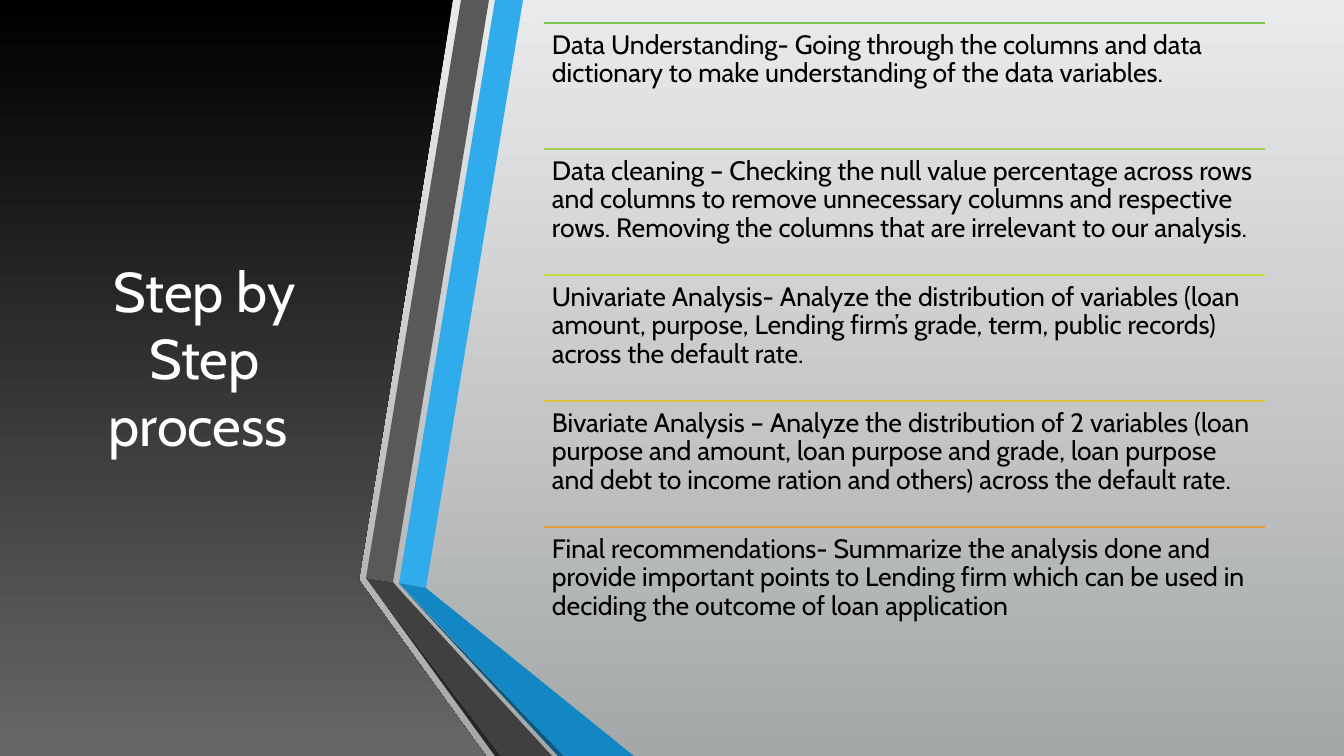
from lxml import etree
from pptx import Presentation
from pptx.dml.color import RGBColor
from pptx.enum.shapes import MSO_CONNECTOR
from pptx.enum.text import MSO_ANCHOR, PP_ALIGN
from pptx.oxml.ns import qn
from pptx.util import Emu, Pt

STRAIGHT = MSO_CONNECTOR.STRAIGHT
TOP, MIDDLE = MSO_ANCHOR.TOP, MSO_ANCHOR.MIDDLE
LEFT, CENTER = PP_ALIGN.LEFT, PP_ALIGN.CENTER

EMU_PER_PX = 914400 / 100.8
SLIDE_WIDTH, SLIDE_HEIGHT = 1344, 756
FONT = "Cabin"

PANEL = [(356, 0), (453, 0), (359, 580), (486, 756), (0, 756), (0, 0)]
RIBBONS = [
    ("30ACEC", [(399, 583), (426, 588), (523, 0), (495, 0)]),
    ("595959", [(489, 0), (461, 0), (366, 578), (393, 582)]),
    ("262626", [(366, 578), (495, 756), (501, 756)]),
    ("0C5A82", [(399, 584), (558, 756), (564, 756)]),
    ("1287C3", [(399, 583), (564, 756), (634, 756), (426, 588)]),
    ("404040", [(552, 756), (398, 588), (393, 582), (366, 578), (501, 756)]),
]

STEP_LEFT, STEP_TOP, STEP_WIDTH, STEP_HEIGHT = 544, 23, 721, 126
STEPS = [
    ("80C34F", "Data Understanding- Going through the columns and data dictionary "
               "to make understanding of the data variables."),
    ("A1CB4A", "Data cleaning – Checking the null value percentage across rows and "
               "columns to remove unnecessary columns and respective rows. "
               "Removing the columns that are irrelevant to our analysis."),
    ("C8D346", "Univariate Analysis- Analyze the distribution of variables (loan "
               "amount, purpose, Lending firm’s grade, term, public records) "
               "across the default rate."),
    ("DBC042", "Bivariate Analysis – Analyze the distribution of 2 variables (loan "
               "purpose and amount, loan purpose and grade, loan purpose and debt "
               "to income ration and others) across the default rate."),
    ("E29D3E", "Final recommendations- Summarize the analysis done and provide "
               "important points to Lending firm which can be used in deciding "
               "the outcome of loan application"),
]


def px(length):
    """Turn a length in px into EMU."""
    return Emu(round(length * EMU_PER_PX))


def color(code):
    """Turn a hex string into a colour."""
    return RGBColor.from_string(code)


def fill_downward(fill, top_color, bottom_color):
    """Give a fill a gradient that runs from top to bottom."""
    fill.gradient()
    fill.gradient_angle = 270
    for stop, code in zip(fill.gradient_stops, (top_color, bottom_color)):
        stop.color.rgb = color(code)


def add_outline(page, points):
    """Add a closed borderless polygon and return it."""
    corners = [(px(x), px(y)) for x, y in points]
    builder = page.shapes.build_freeform(*corners[0], scale=1.0)
    builder.add_line_segments(corners[1:], close=True)
    shape = builder.convert_to_shape()
    shape.shadow.inherit = False
    shape.line.fill.background()
    return shape


def add_ribbon(page, code, points):
    """Add one plain-coloured piece of the folded ribbon."""
    shape = add_outline(page, points)
    shape.fill.solid()
    shape.fill.fore_color.rgb = color(code)


def add_rule(page, left, top, width, code):
    """Add a thin horizontal line."""
    rule = page.shapes.add_connector(
        STRAIGHT, px(left), px(top), px(left + width), px(top))
    rule.line.color.rgb = color(code)
    rule.line.width = Pt(1.25)
    etree.SubElement(rule.element.spPr, qn("a:effectLst"))


def add_text(page, frame, text, size, code, align, anchor, inset, spacing):
    """Add a wrapping text box with one paragraph."""
    box = page.shapes.add_textbox(*map(px, frame))
    body = box.text_frame
    body.word_wrap = True
    body.vertical_anchor = anchor
    body.margin_left = body.margin_right = px(inset)
    body.margin_top = body.margin_bottom = px(inset)
    para = body.paragraphs[0]
    para.alignment = align
    para.line_spacing = spacing
    span = para.add_run()
    span.text = text
    span.font.name = FONT
    span.font.size = Pt(size)
    span.font.color.rgb = color(code)


def add_step(page, index, code, text):
    """Add one step of the process under its coloured line."""
    top = STEP_TOP + index * STEP_HEIGHT
    add_rule(page, STEP_LEFT, top, STEP_WIDTH, code)
    add_text(page, (STEP_LEFT, top, STEP_WIDTH, STEP_HEIGHT), text,
             19, "000000", LEFT, TOP, 8, 0.9)


def main():
    """Build the slide and save it."""
    deck = Presentation()
    deck.slide_width, deck.slide_height = px(SLIDE_WIDTH), px(SLIDE_HEIGHT)
    page = deck.slides.add_slide(deck.slide_layouts[6])
    fill_downward(page.background.fill, "E9EAEB", "A5A8A9")
    panel = add_outline(page, PANEL)
    fill_downward(panel.fill, "000000", "676767")
    add_text(page, (59, 76, 291, 562), "Step by Step process ",
             40, "FFFFFF", CENTER, MIDDLE, 10, 1.0)
    for code, points in RIBBONS:
        add_ribbon(page, code, points)
    for index, (code, text) in enumerate(STEPS):
        add_step(page, index, code, text)
    deck.save("out.pptx")


if __name__ == "__main__":
    main()
